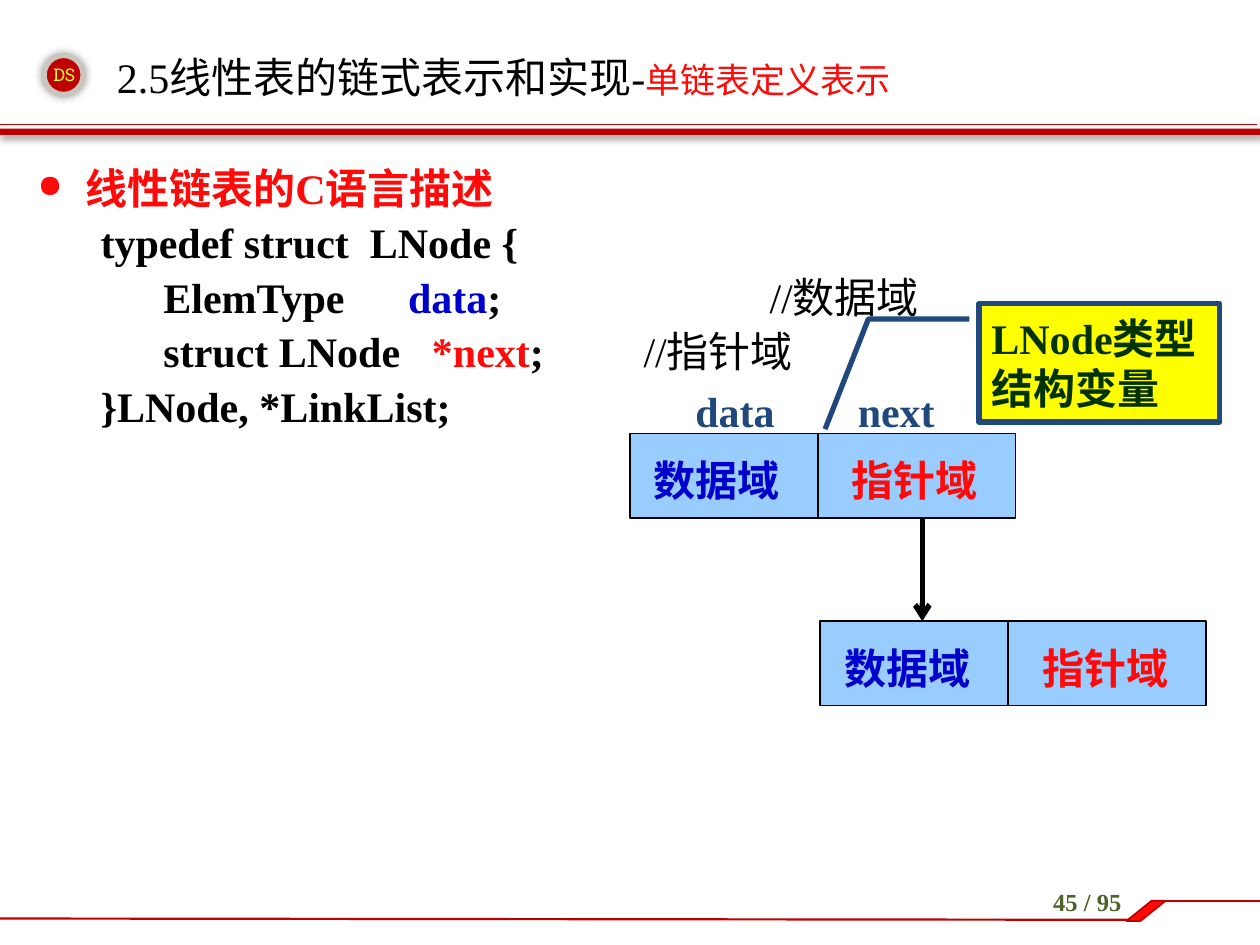
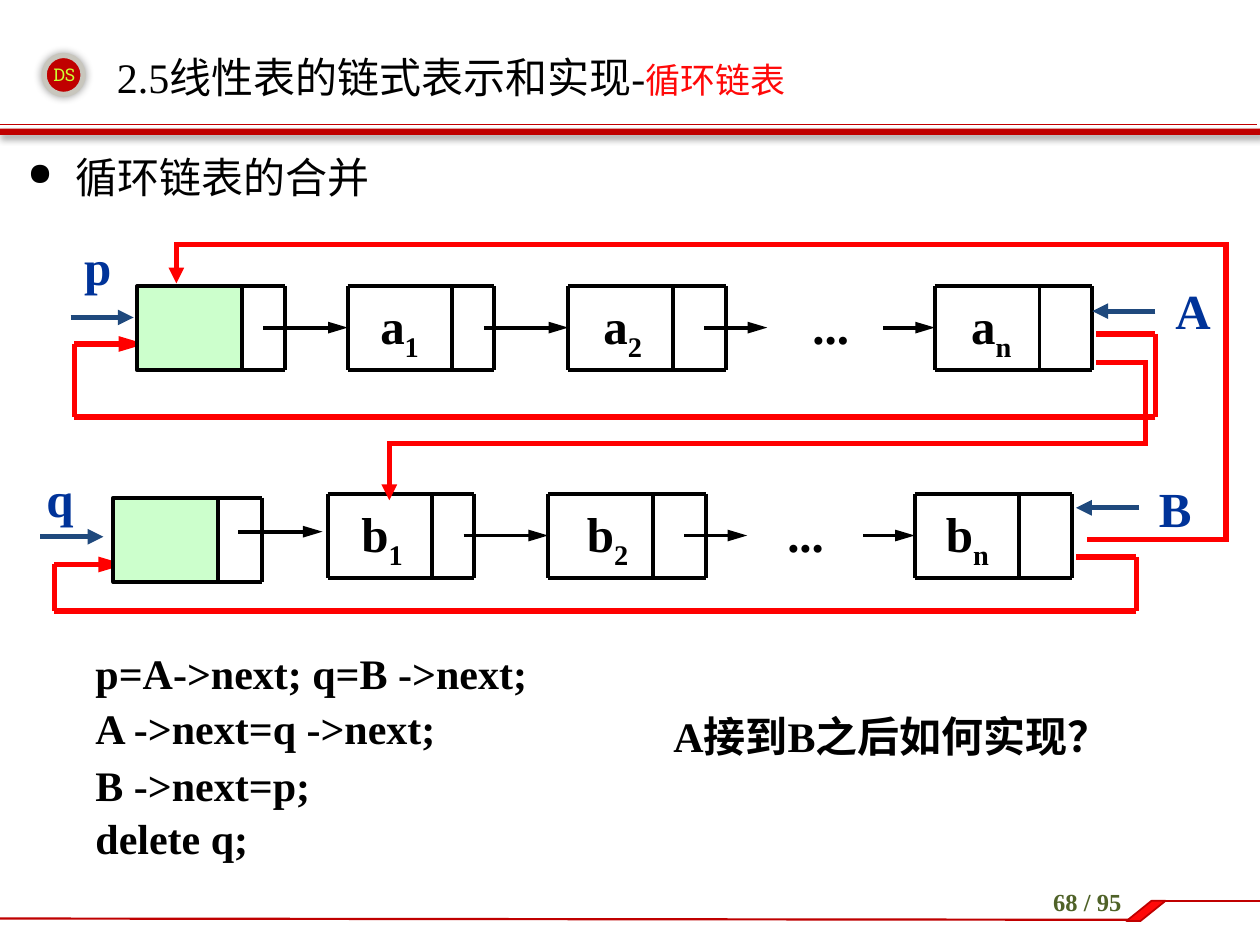
"""Build two slides on linked lists: the node structure and merging circular lists."""
from itertools import pairwise

from lxml import etree
from pptx import Presentation
from pptx import util as u
from pptx.dml.color import RGBColor
from pptx.enum import shapes, text
from pptx.oxml.ns import qn

COLORS = {
    "crimson": "C00000", "accent": "FF0909", "loop": "FF0000", "ring": "C8C6BD",
    "badge": "CCFF33", "page": "4F6228", "black": "000000", "data": "0000CC",
    "record": "99CCFF", "navy": "1F497D", "pointer": "003399", "yellow": "FFFF00",
    "callout": "003300", "head": "CCFFCC",
}
SERIF = "Times New Roman"
SANS = "Arial"
TOTAL_PAGES = 95
RECORD_SIZE = (3.06, 0.67)
NODE_HEIGHT = 0.67
DATA_WIDTH = 0.83


def rgb(name):
    """Return the named palette colour."""
    return RGBColor.from_string(COLORS[name])


def child(parent, tag, **attributes):
    """Append a DrawingML element and return it."""
    element = etree.SubElement(parent, qn(f"a:{tag}"))
    for key, value in attributes.items():
        element.set(key, str(value))
    return element


def add_run(paragraph, content, size=24, color="black", bold=True, font=SERIF, baseline=0):
    """Add one formatted run to a paragraph."""
    run = paragraph.add_run()
    run.text = content
    run.font.size = u.Pt(size)
    run.font.bold = bold
    run.font.color.rgb = rgb(color)
    run.font.name = font
    properties = run.font._element
    child(properties, "ea", typeface=SANS)
    if baseline:
        properties.set("baseline", str(baseline * 1000))


def write(frame, runs, align="LEFT", anchor="TOP", inset=None, **style):
    """Write a string or a list of (text, overrides) into the first paragraph."""
    frame.word_wrap = True
    frame.vertical_anchor = text.MSO_ANCHOR[anchor]
    if inset is not None:
        frame.margin_left = frame.margin_right = u.Inches(inset)
        frame.margin_top = frame.margin_bottom = u.Inches(inset)
    paragraph = frame.paragraphs[0]
    paragraph.alignment = text.PP_ALIGN[align]
    for content, overrides in [(runs, {})] if isinstance(runs, str) else runs:
        add_run(paragraph, content, **{**style, **overrides})
    return paragraph


def add_text(slide, box, runs, **style):
    """Add a text box at (left, top, width, height)."""
    frame = slide.shapes.add_textbox(*map(u.Inches, box)).text_frame
    return write(frame, runs, **style)


def add_bullet(slide, box, content, **style):
    """Add a bulleted heading."""
    properties = add_text(slide, box, content, **style)._p.get_or_add_pPr()
    properties.set("marL", str(u.Inches(0.38)))
    properties.set("indent", str(u.Inches(-0.38)))
    child(properties, "buSzPct", val=75000)
    child(properties, "buChar", char="●")


def outline(shape, color, width):
    """Set the line colour and width of a shape or connector."""
    shape.line.color.rgb = rgb(color)
    shape.line.width = u.Pt(width)


def add_arrowhead(shape, kind="triangle", length="med"):
    """Put an arrowhead at the end of a line."""
    child(shape.line._get_or_add_ln(), "tailEnd", type=kind, w="med", len=length)


def add_line(slide, start, end, color="black", width=2.25, arrow=None, length="med"):
    """Draw a straight line, optionally ending in an arrow."""
    points = map(u.Inches, (*start, *end))
    line = slide.shapes.add_connector(shapes.MSO_CONNECTOR.STRAIGHT, *points)
    outline(line, color, width)
    if arrow:
        add_arrowhead(line, arrow, length)
    child(line._element.spPr, "effectLst")


def add_loop(slide, points):
    """Draw the red link from the last node back to the head, side by side."""
    for start, end in pairwise(points):
        arrow = "triangle" if end == points[-1] else None
        add_line(slide, start, end, "loop", 3, arrow, "lg")


def add_route(slide, points):
    """Draw a bent red link between the lists, ending in an arrow."""
    start, *rest = [tuple(map(u.Inches, point)) for point in points]
    builder = slide.shapes.build_freeform(*start)
    builder.add_line_segments(rest, close=False)
    route = builder.convert_to_shape()
    route.fill.background()
    outline(route, "loop", 3)
    child(route.line._get_or_add_ln(), "miter", lim=800000)
    add_arrowhead(route)
    route.shadow.inherit = False


def add_block(slide, kind, box, fill, line=None, width=1, adjustments=()):
    """Add a filled preset shape without a shadow."""
    block = slide.shapes.add_shape(shapes.MSO_SHAPE[kind], *map(u.Inches, box))
    block.fill.solid()
    block.fill.fore_color.rgb = rgb(fill)
    if line:
        outline(block, line, width)
    else:
        block.line.fill.background()
    for index, value in enumerate(adjustments):
        block.adjustments[index] = value
    block.shadow.inherit = False
    return block


def cast_shadow(block, blur, distance, angle):
    """Give a block a soft black shadow."""
    effects = block._element.spPr.find(qn("a:effectLst"))
    shadow = child(effects, "outerShdw", blurRad=u.Pt(blur), dist=u.Pt(distance),
                   dir=angle * 60000, algn="ctr", rotWithShape=0)
    child(child(shadow, "srgbClr", val=COLORS["black"]), "alpha", val=40000)


def add_page(deck, topic, number):
    """Add a slide with the shared header, title and footer."""
    slide = deck.slides.add_slide(deck.slide_layouts[6])
    badge = add_block(slide, "OVAL", (0.35, 0.44, 0.31, 0.31), "crimson", "ring", 3)
    cast_shadow(badge, 5, 0, 0)
    add_line(slide, (-0.02, 0.99), (9.98, 0.99), "crimson", 0.25)
    band = add_block(slide, "RECTANGLE", (-0.03, 1.02, 10.03, 0.05), "crimson")
    cast_shadow(band, 4, 3, 45)
    add_text(slide, (8, 6.99, 1.26, 0.4), f"{number} / {TOTAL_PAGES}",
             size=14, color="page", align="CENTER")
    add_line(slide, (0, 7.29), (8.96, 7.3), "crimson", 1.25)
    add_line(slide, (9.17, 7.15), (10, 7.15), "crimson", 1.5)
    add_block(slide, "PARALLELOGRAM", (8.94, 7.15, 0.31, 0.16), "accent", "crimson",
              adjustments=[1.24])
    add_text(slide, (0.24, 0.46, 0.54, 0.27), "DS", size=10, color="badge",
             bold=False, font="Roboto Slab", align="CENTER")
    add_text(slide, (0.83, 0.3, 7.95, 0.61),
             [("2.5线性表的链式表示和实现-", {}), (topic, {"size": 20, "color": "accent"})],
             bold=False, anchor="MIDDLE")
    return slide


def add_code(slide, box, lines):
    """Add a code listing whose lines are (runs, tab stops)."""
    frame = slide.shapes.add_textbox(*map(u.Inches, box)).text_frame
    frame.word_wrap = True
    for index, (runs, stops) in enumerate(lines):
        paragraph = frame.add_paragraph() if index else frame.paragraphs[0]
        if index:
            paragraph.space_before = u.Pt(2.4)
        if stops:
            tabs = child(paragraph._p.get_or_add_pPr(), "tabLst")
            for stop in stops:
                child(tabs, "tab", pos=u.Inches(stop), algn="l")
        for content, overrides in runs:
            add_run(paragraph, content, **overrides)


def add_record(slide, left, top):
    """Draw a record with a data field and a pointer field."""
    width, height = RECORD_SIZE
    divider = left + 1.49
    add_block(slide, "RECTANGLE", (left, top, width, height), "record", "black")
    add_line(slide, (divider, top), (divider, top + height), width=1)
    for offset, label, color in ((0.19, "数据域", "data"), (1.76, "指针域", "accent")):
        add_text(slide, (left + offset, top + 0.17, 1.11, 0.4), label, color=color, inset=0)


def add_node(slide, left, top, width, head=False):
    """Draw a list node from its sides; a head node has a shaded data field."""
    bottom = top + NODE_HEIGHT
    for y in (top, bottom):
        add_line(slide, (left, y), (left + width, y))
    for x in (left, left + DATA_WIDTH, left + width):
        add_line(slide, (x, top), (x, bottom))
    if head:
        add_block(slide, "RECTANGLE", (left, top, DATA_WIDTH, NODE_HEIGHT),
                  "head", "black", 2.25)


def add_link(slide, start, end, y):
    """Draw a black link between nodes."""
    add_line(slide, (start, y), (end, y), arrow="triangle", length="lg")


def add_chain(slide, left, top, letter, label_lefts):
    """Draw the three labelled nodes of a list and the links between them."""
    for offset, width in ((0, 1.16), (1.75, 1.25), (4.66, 1.25)):
        add_node(slide, left + offset, top, width)
    for start, end in ((1.08, 1.75), (2.83, 3.33), (4.25, 4.66)):
        add_link(slide, left + start, left + end, top + 0.33)
    for label_left, index in zip(label_lefts, ("1", "2", None, "n")):
        runs = [(letter, {}), (index, {"baseline": -25})] if index else "..."
        add_text(slide, (label_left - 0.1, top + 0.03, 0.8, 0.57), runs, size=28)


def add_pointer(slide, name, label_at, start, end):
    """Draw a named pointer to a list node."""
    add_line(slide, start, end, "navy", 3, "triangle")
    add_text(slide, (*label_at, 0.6, 0.57), name, size=28, color="pointer")


def build_definition(deck):
    """Build the slide defining a singly linked list node."""
    slide = add_page(deck, "单链表定义表示", 45)
    add_bullet(slide, (0.2, 1.24, 9.6, 0.5), "线性链表的C语言描述", color="accent")
    plain = {"bold": False}
    add_code(slide, (0.7, 1.67, 9, 2.2), [
        ([("typedef struct  LNode {", {})], ()),
        ([("      ElemType\t", {}), ("data", {"color": "data"}), (";", {}),
          ("\t//数据域", plain)], (2.44, 5.31)),
        ([("      struct LNode\t", {}), ("*next", {"color": "accent"}), (";", {}),
          ("\t//指针域", plain)], (2.63, 4.31)),
        ([("}LNode, *LinkList;", {})], ()),
    ])
    add_record(slide, 6.51, 4.93)
    add_line(slide, (7.32, 4.1), (7.32, 4.93), width=3, arrow="arrow")
    for field, left in (("data", 5.42), ("next", 6.71)):
        add_text(slide, (left, 3.01, 1.1, 0.5), field, color="navy")
    callout = add_block(slide, "LINE_CALLOUT_2", (7.77, 2.41, 1.91, 0.94), "yellow", "navy", 3,
                        adjustments=[0.13, -0.04, 0.13, -0.46, 1.06, -0.64])
    write(callout.text_frame, "LNode类型 结构变量", color="callout", anchor="MIDDLE")
    add_record(slide, 5, 3.44)


def build_merge(deck):
    """Build the slide merging two circular lists."""
    slide = add_page(deck, "循环链表", 68)
    add_bullet(slide, (0.12, 1.15, 9.69, 0.5), "循环链表的合并", bold=False, font=SANS)

    add_loop(slide, [(8.7, 2.65), (9.17, 2.65), (9.17, 3.31), (0.59, 3.31),
                     (0.59, 2.73), (1.15, 2.73)])
    add_node(slide, 1.09, 2.27, 1.17, head=True)
    add_link(slide, 2.09, 2.76, 2.6)
    add_chain(slide, 2.76, 2.27, "a", (3.02, 4.79, 6.45, 7.71))
    add_pointer(slide, "A", (9.23, 2.18), (9.17, 2.47), (8.67, 2.47))
    add_pointer(slide, "p", (0.57, 1.83), (0.56, 2.52), (1.06, 2.52))

    add_loop(slide, [(8.54, 4.42), (9.02, 4.42), (9.02, 4.85), (0.43, 4.85),
                     (0.43, 4.48), (0.99, 4.48)])
    add_node(slide, 0.9, 3.95, 1.18, head=True)
    add_link(slide, 1.89, 2.56, 4.22)
    add_chain(slide, 2.6, 3.92, "b", (2.87, 4.66, 6.25, 7.51))
    add_pointer(slide, "B", (9.1, 3.75), (9.04, 4.03), (8.54, 4.03))
    add_pointer(slide, "q", (0.27, 3.67), (0.32, 4.26), (0.82, 4.26))

    add_route(slide, [(8.7, 2.88), (9.09, 2.88), (9.09, 3.52), (3.09, 3.52), (3.09, 3.97)])
    add_route(slide, [(8.63, 4.28), (9.73, 4.28), (9.73, 1.94), (1.4, 1.94), (1.4, 2.25)])
    steps = {5.09: "p=A->next; q=B ->next;", 5.53: "A ->next=q ->next;",
             5.98: "B ->next=p;", 6.4: "delete q;"}
    for top, statement in steps.items():
        add_text(slide, (0.66, top, 4, 0.5), statement)
    add_text(slide, (5.13, 5.59, 3.89, 0.5), "A接到B之后如何实现？", align="CENTER")


def main():
    """Create and save the presentation."""
    deck = Presentation()
    deck.slide_width, deck.slide_height = u.Inches(10), u.Inches(7.5)
    build_definition(deck)
    build_merge(deck)
    deck.save("out.pptx")


if __name__ == "__main__":
    main()
